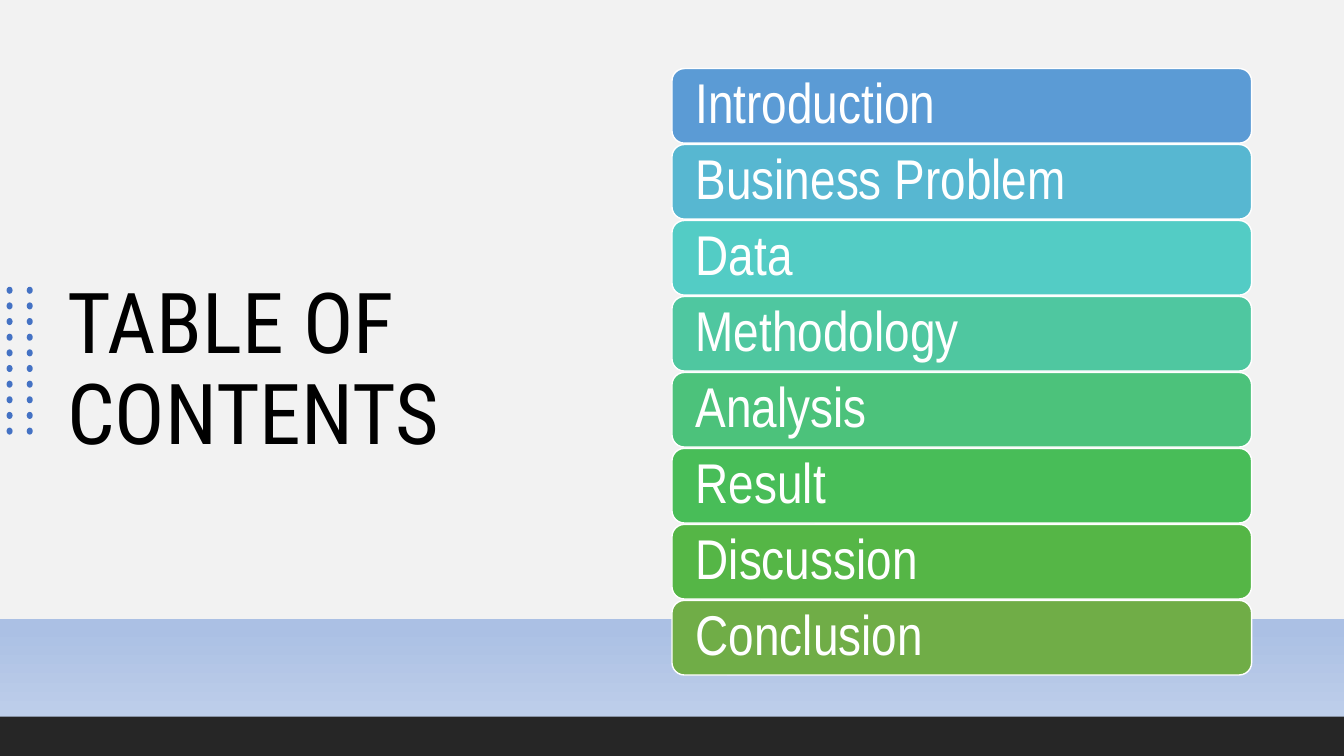
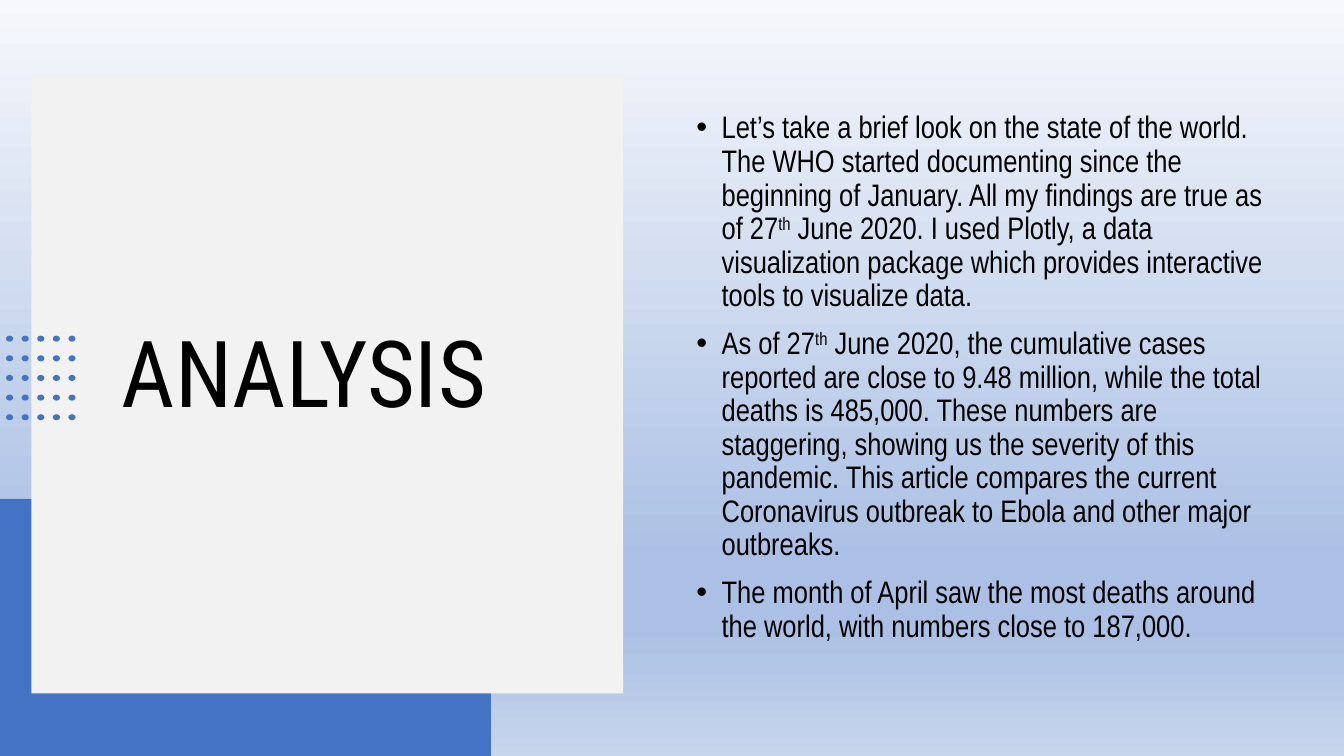
import pptx
import pptx.util
import pptx.dml.color
import pptx.enum.shapes
import pptx.enum.text
import pptx.oxml

# Shared look
WIDTH, HEIGHT = pptx.util.Inches(13.333), pptx.util.Inches(7.5)
BLUE, PALE, DARK, BLACK, WHITE = "4472C4", "F2F2F2", "262626", "000000", "FFFFFF"
SKY_STOPS = [(0, "F6F8FC"), (74, "ABC0E4"), (83, "ABC0E4"), (100, "C7D5ED")]
TITLE_FONT, BODY_FONT = "Roboto Condensed", "Arial Narrow"
SHAPE = pptx.enum.shapes.MSO_SHAPE
INDENT = pptx.util.Inches(0.25)

# Content
AGENDA = [
    ("Introduction", "5B9BD5"),
    ("Business Problem", "57B7D1"),
    ("Data", "53CCC5"),
    ("Methodology", "4FC7A0"),
    ("Analysis", "4CC27B"),
    ("Result", "48BD58"),
    ("Discussion", "55B646"),
    ("Conclusion", "70AD47"),
]
# Text between carets is superscript
FINDINGS = [
    "Let’s take a brief look on the state of the world. The WHO started "
    "documenting since the beginning of January. All my findings are true as "
    "of 27^th^ June 2020. I used Plotly, a data visualization package which "
    "provides interactive tools to visualize data.",
    "As of 27^th^ June 2020, the cumulative cases reported are close to 9.48 "
    "million, while the total deaths is 485,000. These numbers are staggering, "
    "showing us the severity of this pandemic. This article compares the "
    "current Coronavirus outbreak to Ebola and other major outbreaks.",
    "The month of April saw the most deaths around the world, with numbers "
    "close to 187,000.",
]


def rgb(value):
    return pptx.dml.color.RGBColor.from_string(value)


def area(x, y, w, h):
    """Turn percentages of the slide's width and height into lengths."""
    return [int(share * side / 100)
            for share, side in zip((x, y, w, h), (WIDTH, HEIGHT) * 2)]


def add_child(parent, tag, **attributes):
    child = pptx.oxml.parse_xml(f'<a:{tag} {pptx.oxml.ns.nsdecls("a")}/>')
    for name, value in attributes.items():
        child.set(name, str(value))
    parent.append(child)
    return child


def paint_background(master):
    fill = master.background.fill
    fill.gradient()
    fill.gradient_angle = 270
    stops = master.element.cSld.find(".//" + pptx.oxml.ns.qn("a:gsLst"))
    for stop in list(stops):
        stops.remove(stop)
    for percent, color in SKY_STOPS:
        add_child(add_child(stops, "gs", pos=percent * 1000), "srgbClr", val=color)


def add_block(shapes, at, fill, kind=SHAPE.RECTANGLE, line=None):
    sp = shapes.add_shape(kind, *area(*at))
    sp.shadow.inherit = False
    sp.fill.solid()
    sp.fill.fore_color.rgb = rgb(fill)
    if line:
        sp.line.color.rgb = rgb(line)
        sp.line.width = pptx.util.Pt(1)
    else:
        sp.line.fill.background()
    return sp


def write(sp, *texts, size, font=BODY_FONT, color=BLACK, bullet=None, before=0):
    tf = sp.text_frame
    tf.word_wrap = True
    tf.vertical_anchor = pptx.enum.text.MSO_ANCHOR.MIDDLE
    for i, text in enumerate(texts):
        p = tf.add_paragraph() if i else tf.paragraphs[0]
        p.alignment = pptx.enum.text.PP_ALIGN.LEFT
        p.line_spacing = 0.9
        p.space_before = pptx.util.Pt(before)
        if bullet:
            pPr = p._p.get_or_add_pPr()
            pPr.set("marL", str(INDENT))
            pPr.set("indent", str(-INDENT))
            add_child(pPr, "buFont", typeface="Arial")
            add_child(pPr, "buChar", char=bullet)
        for j, part in enumerate(text.split("^")):
            r = p.add_run()
            r.text = part
            r.font.size = pptx.util.Pt(size)
            r.font.name = font
            r.font.color.rgb = rgb(color)
            if j % 2:
                r._r.get_or_add_rPr().set("baseline", "30000")
    return tf


def add_text(s, at, *texts, **style):
    return write(s.shapes.add_textbox(*area(*at)), *texts, **style)


def add_title(s, at, text, size):
    add_text(s, at, text, size=size, font=TITLE_FONT)


def add_dots(s, start, step, dot, columns, rows):
    group = s.shapes.add_group_shape()
    for column in range(columns):
        for row in range(rows):
            at = (start[0] + column * step[0], start[1] + row * step[1], *dot)
            add_block(group.shapes, at, BLUE, SHAPE.OVAL)


def add_agenda(s, left, top, width, height, pitch):
    for i, (text, color) in enumerate(AGENDA):
        at = (left, top + i * pitch, width, height)
        bar = add_block(s.shapes, at, color, SHAPE.ROUNDED_RECTANGLE, WHITE)
        tf = write(bar, text, size=40, color=WHITE)
        tf.margin_left = tf.margin_right = pptx.util.Inches(0.2)
        tf.margin_top = tf.margin_bottom = 0


def build_contents(s):
    add_block(s.shapes, (0, 0, 100, 81.87), PALE)
    add_dots(s, (0.49, 37.93), (1.5, 2.07), (0.45, 0.93), columns=2, rows=10)
    add_block(s.shapes, (0, 94.8, 100, 5.2), DARK)
    add_title(s, (4.28, 9.07, 42.53, 80.27), "TABLE OF CONTENTS", 60)
    add_agenda(s, left=50, top=9.07, width=43.13, height=9.87, pitch=10.05)


def build_analysis(s):
    add_block(s.shapes, (0, 66, 36.53, 34), BLUE)
    add_block(s.shapes, (2.33, 10.27, 44.03, 81.47), PALE)
    add_title(s, (8.33, 19.6, 34.43, 60.8), "ANALYSIS", 66)
    add_dots(s, (0.45, 44.4), (1.16, 2.6), (0.53, 0.8), columns=5, rows=5)
    add_text(s, (51.08, 10.93, 44.03, 78.13), *FINDINGS,
             size=22.2, bullet="•", before=10)


def main():
    prs = pptx.Presentation()
    prs.slide_width, prs.slide_height = WIDTH, HEIGHT
    paint_background(prs.slide_master)
    for build in (build_contents, build_analysis):
        build(prs.slides.add_slide(prs.slide_layouts[6]))
    prs.save("out.pptx")


if __name__ == "__main__":
    main()
